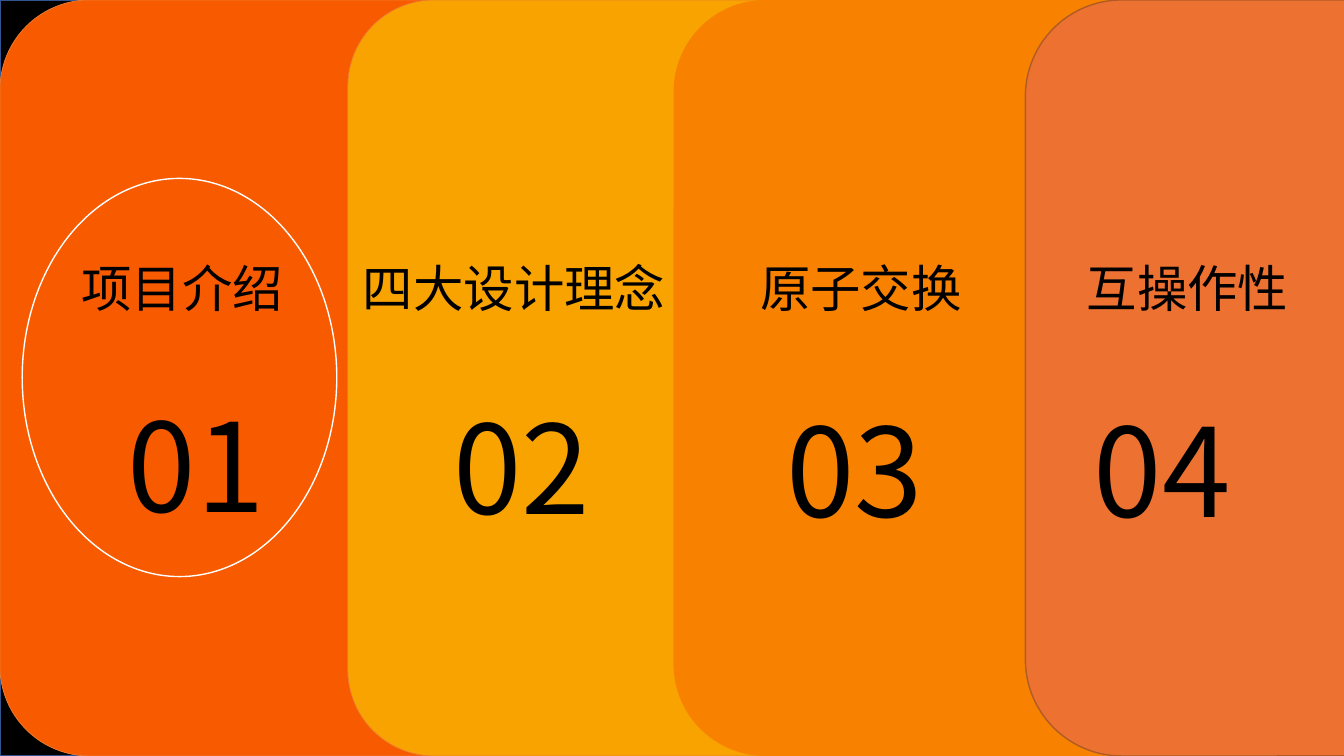
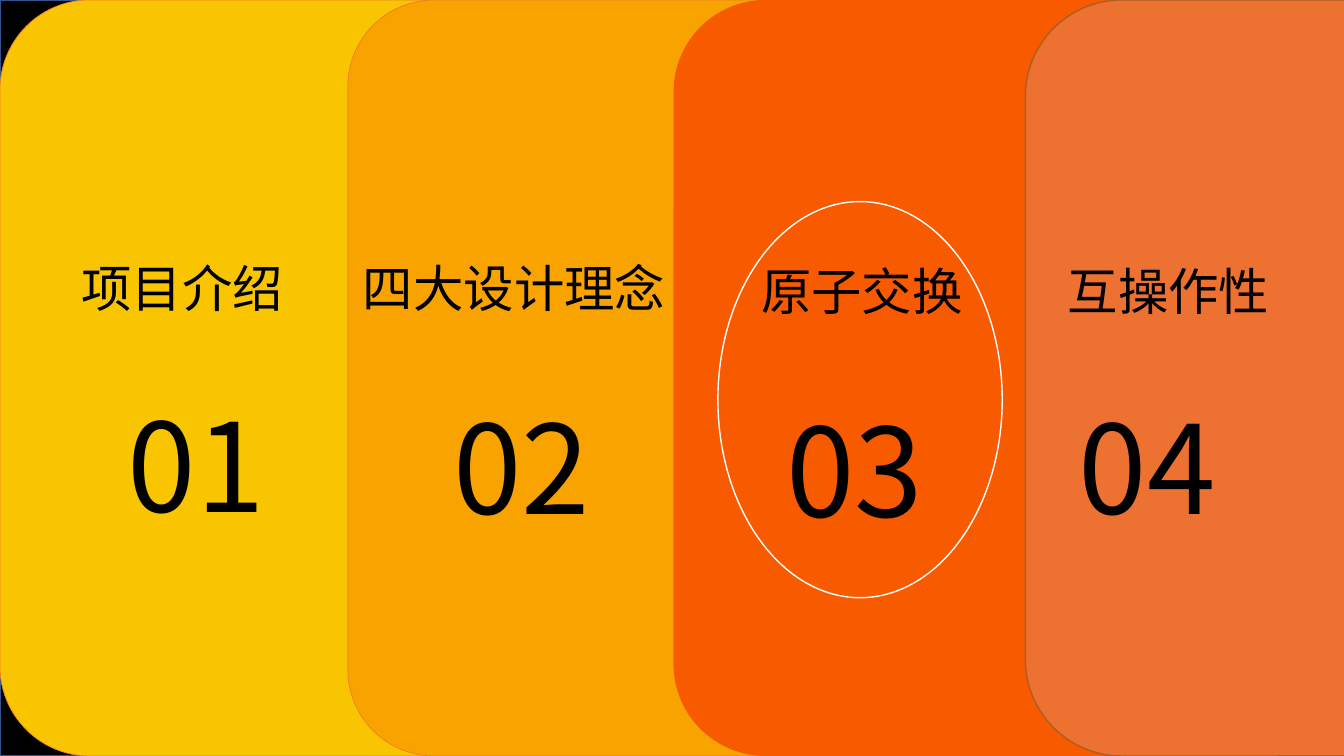
"""Build two agenda slides, each highlighting the current section."""
from lxml import etree
from pptx import Presentation
from pptx.dml.color import RGBColor
from pptx.enum.shapes import MSO_SHAPE as SHAPE
from pptx.enum.text import MSO_AUTO_SIZE as AUTO_SIZE, PP_ALIGN as ALIGN
from pptx.oxml.ns import qn
from pptx.util import Inches, Pt

COLORS = {
    "backdrop": "000000", "backdrop line": "325491",
    "active": "F85A00", "yellow": "F8C500", "amber": "F8A300",
    "orange": "F88200", "coral": "ED7131",
    "thin line": "ED7D31", "coral line": "AF5C24",
    "text": "000000", "ring": "FFFFFF",
}
FONT = "Noto Sans CJK JP"
WIDTH, HEIGHT = 13.33, 7.5

PANELS = [
    (0, 5.34, "yellow", "thin line", 0.5),
    (3.45, 5.14, "amber", "thin line", 0.5),
    (6.68, 5.48, "orange", None, 0),
    (10.17, 5.74, "coral", "coral line", 1),
]
LABELS = ["项目介绍", "四大设计理念", "原子交换", "互操作性"]
LABEL_WIDTHS = [2.75, 3.41, 2.44, 2.82]
AGENDAS = [
    {
        "active": 0,
        "ring": (0.22, 1.77, 3.12, 3.95),
        "labels": [(0.71, 2.5), (3.5, 2.5), (7.44, 2.5), (10.68, 2.5)],
        "numbers": [(1.17, 3.81), (4.4, 3.83), (7.7, 3.86), (10.75, 3.86)],
    },
    {
        "active": 2,
        "ring": (7.12, 2, 2.82, 3.93),
        "labels": [(0.71, 2.5), (3.5, 2.5), (7.45, 2.53), (10.49, 2.53)],
        "numbers": [(1.17, 3.81), (4.4, 3.83), (7.7, 3.86), (10.6, 3.83)],
    },
]


def add_block(slide, kind, box, fill, line, line_width):
    shape = slide.shapes.add_shape(kind, *map(Inches, box))
    shape.shadow.inherit = False
    for form, color in ((shape.fill, fill), (shape.line.fill, line)):
        if color:
            form.solid()
            form.fore_color.rgb = RGBColor.from_string(COLORS[color])
        else:
            form.background()
    if line:
        shape.line.width = Pt(line_width)


def add_text(slide, box, text, size, wrap):
    frame = slide.shapes.add_textbox(*map(Inches, box)).text_frame
    frame.word_wrap = wrap
    frame.auto_size = AUTO_SIZE.SHAPE_TO_FIT_TEXT
    paragraph = frame.paragraphs[0]
    paragraph.alignment = ALIGN.LEFT
    run = paragraph.add_run()
    run.text = text
    for name, value in {"size": Pt(size), "name": FONT}.items():
        setattr(run.font, name, value)
    run.font.color.rgb = RGBColor.from_string(COLORS["text"])
    east_asian = etree.SubElement(run.font._element, qn("a:ea"))
    east_asian.set("typeface", FONT)


presentation = Presentation()
presentation.slide_width = Inches(WIDTH)
presentation.slide_height = Inches(HEIGHT)
blank_layout = presentation.slide_layouts[6]

for agenda in AGENDAS:
    slide = presentation.slides.add_slide(blank_layout)
    add_block(slide, SHAPE.RECTANGLE, (0, 0, WIDTH, HEIGHT),
              "backdrop", "backdrop line", 1)
    for index, (left, width, fill, line, line_width) in enumerate(PANELS):
        panel_fill = "active" if index == agenda["active"] else fill
        add_block(slide, SHAPE.ROUNDED_RECTANGLE, (left, 0, width, HEIGHT),
                  panel_fill, line, line_width)
    for index, label in enumerate(LABELS):
        add_text(slide, (*agenda["labels"][index], LABEL_WIDTHS[index], 0.71),
                 label, 36, True)
        add_text(slide, (*agenda["numbers"][index], 1.83, 1.58),
                 f"{index + 1:02}", 88, False)
    add_block(slide, SHAPE.OVAL, agenda["ring"], None, "ring", 1)

presentation.save("out.pptx")
